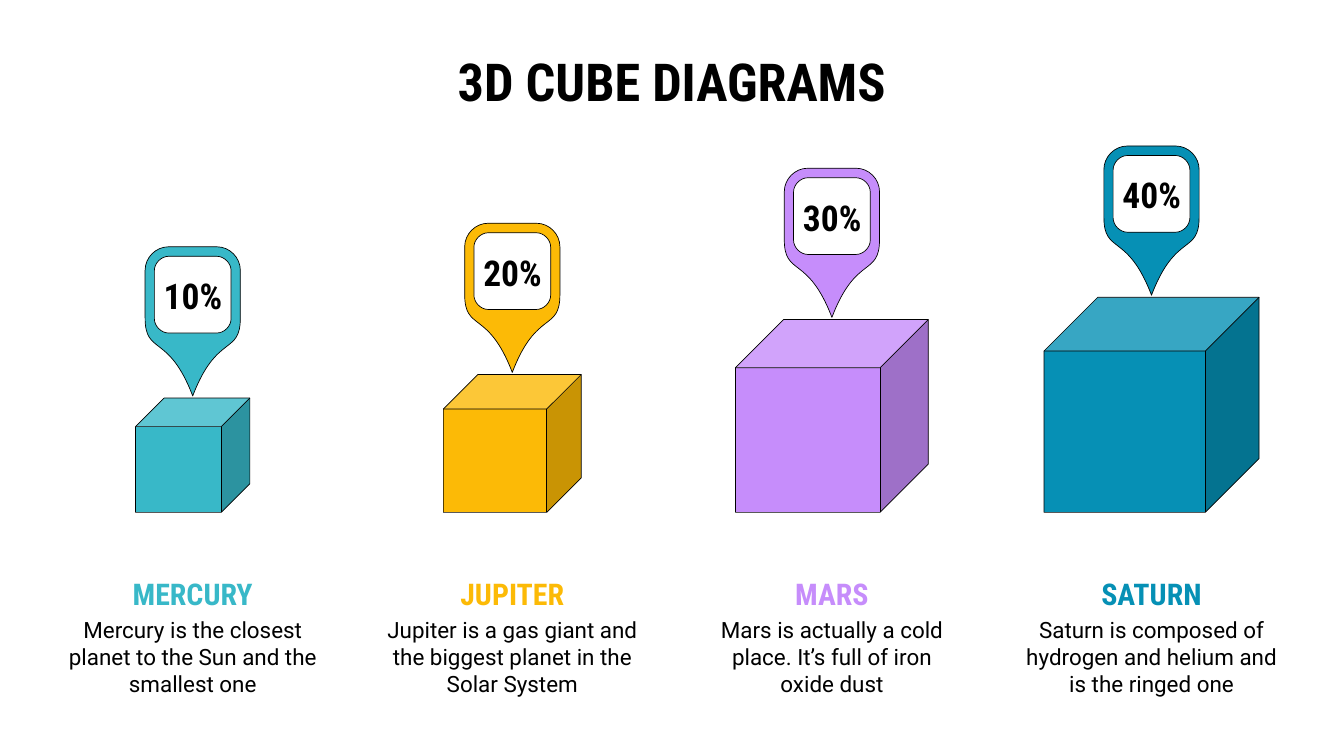
from pptx import Presentation
from pptx.dml.color import RGBColor
from pptx.enum import shapes as kinds, text as txt
from pptx.oxml import ns, xmlchemy as xml
from pptx.util import Cm, Pt

INK = {"black": "000000", "white": "FFFFFF", "teal": "38B8C8",
       "gold": "FCBA06", "lilac": "C68DFB", "blue": "0690B5"}
HEAD, BODY = "Roboto Condensed", "Roboto"
PLANETS = [
    ("MERCURY", "Mercury is the closest planet to the Sun and the smallest one",
     "10%", "teal", 4.32),
    ("JUPITER", "Jupiter is a gas giant and the biggest planet in the Solar System",
     "20%", "gold", 5.21),
    ("MARS", "Mars is actually a cold place. It’s full of iron oxide dust",
     "30%", "lilac", 7.29),
    ("SATURN", "Saturn is composed of hydrogen and helium and is the ringed one",
     "40%", "blue", 8.13),
]
LEFT, PITCH, WIDTH, FLOOR = 1.94, 12.08, 10.69, 19.37
PIN_H = 5.64
SIDE = [(-0.91, 0), (-1.4, 0), (-1.8, 0.41), (-1.8, 0.89),
        (-1.8, 2.69), (-1.8, 4.11), (-0.91, 3.25)]
PIN = SIDE + [(0, PIN_H)] + [(-x, y) for x, y in reversed(SIDE)]
BEND = [(0.91, -1.45), (1.19, -1.45), (1.45, -1.19), (1.45, -0.91)]
BADGE = (BEND + [(-y, x) for x, y in BEND]
         + [(-x, -y) for x, y in BEND] + [(y, -x) for x, y in BEND])


def paint(shape, ink):
    """Give a shape a flat fill and a thin black outline."""
    shape.shadow.inherit = False
    shape.fill.solid()
    shape.fill.fore_color.rgb = RGBColor.from_string(INK[ink])
    shape.line.color.rgb = RGBColor.from_string(INK["black"])
    shape.line.width = Pt(0.75)


def write(shapes, box, words, size, face=HEAD, ink="black", bold=True, side=0.51):
    """Add a centred text box and return it."""
    label = shapes.add_textbox(*map(Cm, box))
    frame = label.text_frame
    frame.word_wrap = True
    frame.margin_left = frame.margin_right = Cm(side)
    frame.margin_top = frame.margin_bottom = Cm(0.51)
    para = frame.paragraphs[0]
    para.text = words
    para.alignment = txt.PP_ALIGN.CENTER
    font = para.font
    font.name, font.size, font.bold = face, Pt(size), bold
    font.color.rgb = RGBColor.from_string(INK[ink])
    return label


def outline(shapes, mid, top, knots, moves, ink):
    """Draw a closed outline of lines (L) and cubic curves (C)."""
    dots = [(Cm(mid + x), Cm(top + y)) for x, y in knots]
    draft = shapes.build_freeform(*dots[0])
    draft.add_line_segments(dots[1:], close=True)
    shape = draft.convert_to_shape()
    legs = iter(list(shape.element.iter(ns.qn("a:lnTo"))))
    for move in moves:
        leg = next(legs)
        if move == "C":
            bend = xml.OxmlElement("a:cubicBezTo")
            leg.addprevious(bend)
            for part in (leg, next(legs), next(legs)):
                bend.append(part[0])
                part.getparent().remove(part)
    paint(shape, ink)


def draw_pin(slide, mid, top, share, ink):
    """Draw a map pin with its share, centred on mid."""
    shapes = slide.shapes.add_group_shape().shapes
    outline(shapes, mid, top, PIN, "CLCCLC", ink)
    outline(shapes, mid, top + 1.81, BADGE, "CLCLCLC", "white")
    label = write(shapes, (mid - 1.17, top + 0.66, 2.36, 2.36), share, 38, side=0)
    label.text_frame.vertical_anchor = txt.MSO_ANCHOR.MIDDLE


def draw_planet(slide, left, planet):
    """Draw one column: cube, pin, name and description."""
    name, note, share, ink, size = planet
    mid, top = left + WIDTH / 2, FLOOR - size
    cube = slide.shapes.add_shape(
        kinds.MSO_SHAPE.CUBE, Cm(mid - size / 2), Cm(top), Cm(size), Cm(size))
    cube.adjustments[0] = 0.25
    paint(cube, ink)
    draw_pin(slide, mid, top - 0.08 - PIN_H, share, ink)
    shapes = slide.shapes.add_group_shape().shapes
    write(shapes, (left, 22.78, WIDTH, 3.18), note, 24, BODY, bold=False)
    title = write(shapes, (left, 21.06, WIDTH, 2.13), name, 32, ink=ink)
    para = title.text_frame.paragraphs[0]
    para.line_spacing, para.space_after = 1.15, Pt(32)


def main():
    """Build the slide and save it."""
    deck = Presentation()
    deck.slide_width, deck.slide_height = Cm(50.8), Cm(28.58)
    slide = deck.slides.add_slide(deck.slide_layouts[6])
    write(slide.shapes, (2.54, 1.35, 45.72, 3.18), "3D CUBE DIAGRAMS", 56)
    for index, planet in enumerate(PLANETS):
        draw_planet(slide, LEFT + index * PITCH, planet)
    deck.save("out.pptx")


if __name__ == "__main__":
    main()
